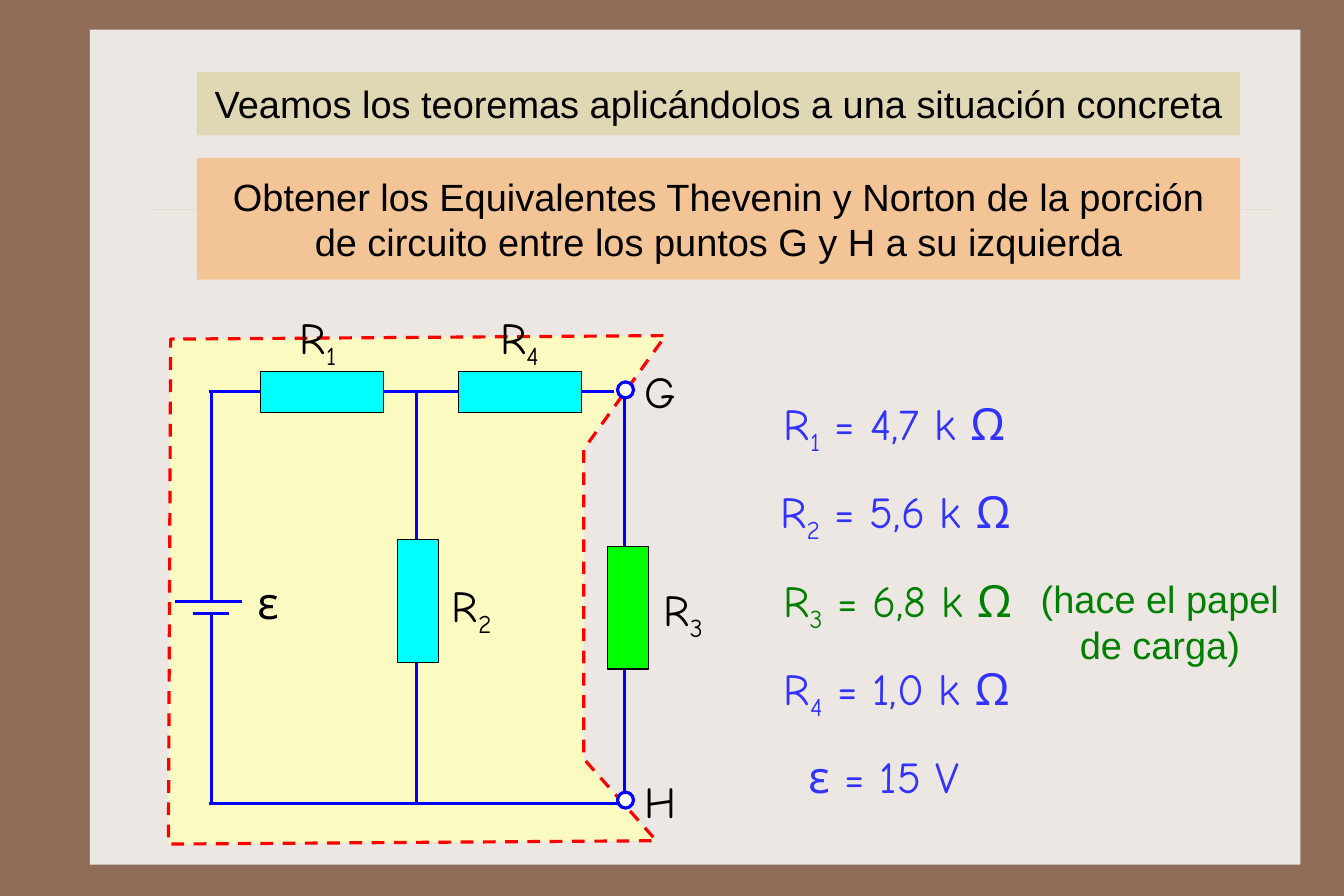
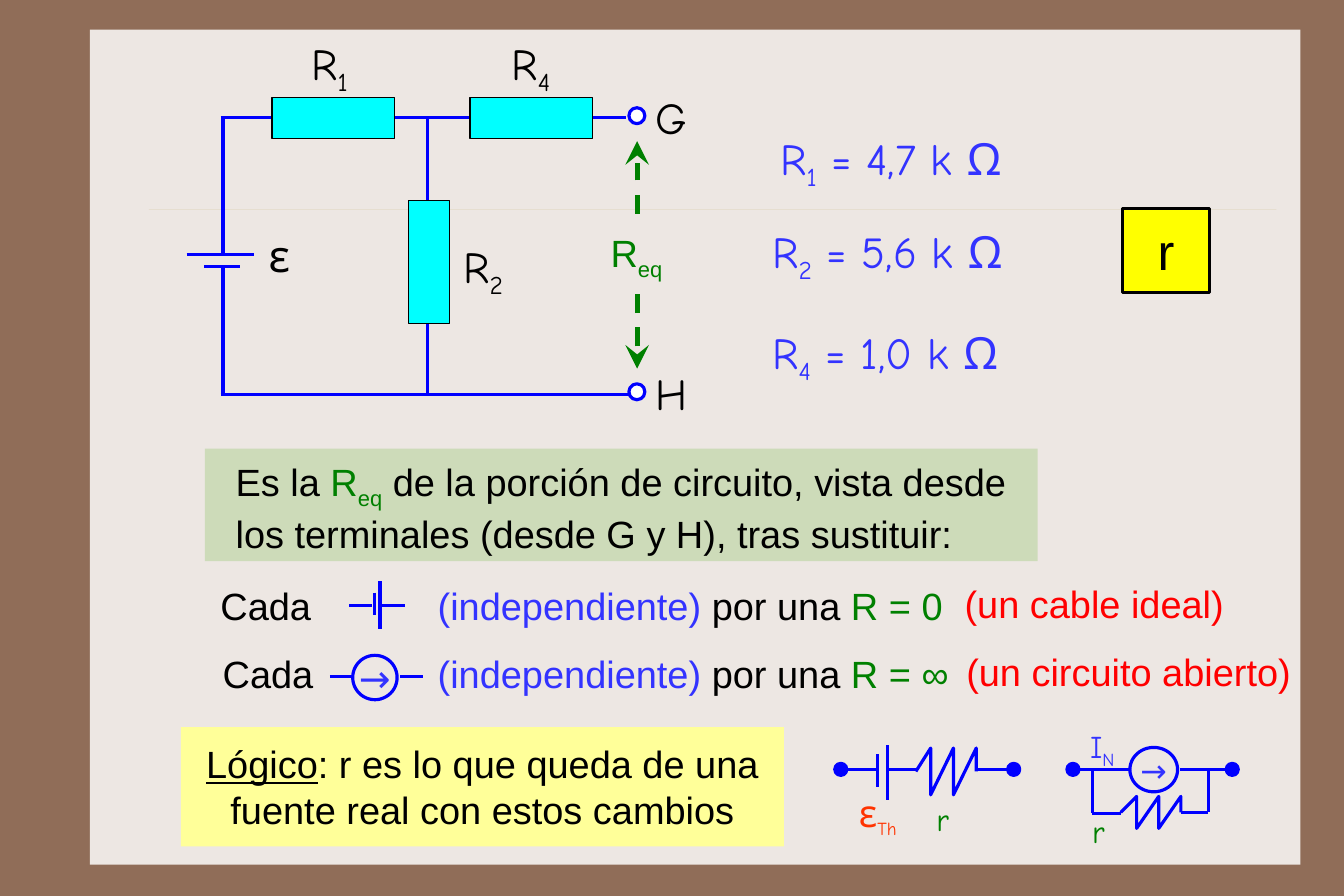
from lxml import etree
from pptx import Presentation
from pptx import util as u
from pptx.dml.color import RGBColor
from pptx.enum import dml, shapes, text
from pptx.oxml.ns import qn

Pt = u.Pt
BLACK, BLUE, WIRE, GREEN, RED = "000000", "3333FF", "0000FF", "008000", "FF0000"
FRAME, PANEL, RULE, CYAN, LOAD = "906D58", "EDE7E3", "CBBD83", "00FFFF", "00FF00"
SAND, ORANGE, SAGE, LEMON, CREAM, YELLOW = "E0D7B5", "F3C495", "CDDBB9", "FFFF99", "FBFBC1", "FFFF00"
VERMILION, WHITE = "FF3300", "FFFFFF"
PLAIN, COMIC = "Arial", "Comic Neue"
LEFT, CENTER = text.PP_ALIGN.LEFT, text.PP_ALIGN.CENTER
TOP, MIDDLE = text.MSO_ANCHOR.TOP, text.MSO_ANCHOR.MIDDLE
RECT, OVAL = shapes.MSO_SHAPE.RECTANGLE, shapes.MSO_SHAPE.OVAL

TITLE = "Veamos los teoremas aplicándolos a una situación concreta"
TASK = "Obtener los Equivalentes Thevenin y Norton de la porción de circuito entre los puntos G y H a su izquierda"
LOAD_NOTE = "(hace el papel de carga)"
OHMS = {"1": "4,7", "2": "5,6", "3": "6,8", "4": "1,0"}
VALUES_ALL = [("1", 566, BLUE), ("2", 566.6, BLUE), ("3", 568, GREEN), ("4", 567.4, BLUE)]
VALUES_SOURCE = [("1", 563.8, 79.2), ("2", 561.6, 138.2), ("4", 560.2, 202.3)]
PORTION = [(116, 214.6), (421.2, 212.4), (369.4, 284.4), (369.4, 480.2), (415.4, 532.1), (106.6, 534.2), (108, 214.6)]
EQUIVALENT = [("R", GREEN), ("eq", GREEN, "sub")]
DEFINITION = [("Es la ", BLACK), *EQUIVALENT,
              (" de la porción de circuito, vista desde los terminales (desde G y H), tras sustituir:", BLACK)]
REPLACEMENTS = [("R = 0", "(un cable ideal)", 132.5, 603.4, 362.2),
                ("R = ∞", "(un circuito abierto)", 133.9, 604.5, 405.2)]
LOGIC = [("Lógico", BLACK, "under"), (": r es lo que queda de una fuente real con estos cambios", BLACK)]


def rgb(code):
    return RGBColor.from_string(code)


def paint(shape, fill=None, line=None, weight=2.0):
    if fill:
        shape.fill.solid()
        shape.fill.fore_color.rgb = rgb(fill)
    else:
        shape.fill.background()
    if line:
        shape.line.color.rgb = rgb(line)
        shape.line.width = Pt(weight)
    else:
        shape.line.fill.background()
    return shape


def write(shape, runs, size=24, font=PLAIN, align=LEFT, inset=(7, 6.5), anchor=TOP, wrap=True):
    frame = shape.text_frame
    frame.auto_size = text.MSO_AUTO_SIZE.NONE
    frame.word_wrap = wrap
    frame.vertical_anchor = anchor
    frame.margin_left = frame.margin_right = Pt(inset[0])
    frame.margin_top = frame.margin_bottom = Pt(inset[1])
    para = frame.paragraphs[0]
    para.alignment = align
    for words, colour, *style in runs:
        span = para.add_run()
        span.text = words
        span.font.size = Pt(size)
        span.font.name = font
        span.font.color.rgb = rgb(colour)
        if "under" in style:
            span.font.underline = True
        if "sub" in style:
            span._r.get_or_add_rPr().set("baseline", "-25000")
    return shape


def block(page, kind, left, top, width, height, fill=None, line=None, weight=2.0):
    shape = page.shapes.add_shape(kind, Pt(left), Pt(top), Pt(width), Pt(height))
    shape.shadow.inherit = False
    return paint(shape, fill, line, weight)


def label(page, left, top, width, height, runs, **style):
    box = page.shapes.add_textbox(Pt(left), Pt(top), Pt(width), Pt(height))
    return write(box, runs, **style)


def symbol(page, left, top, runs, width=74.2, align=CENTER, size=28, inset=(6.5, 3.6)):
    label(page, left, top, width, 46, runs, size=size, font=COMIC, align=align, inset=inset)


def wire(page, x1, y1, x2, y2, colour=WIRE, weight=2.0):
    line = page.shapes.add_connector(shapes.MSO_CONNECTOR.STRAIGHT, Pt(x1), Pt(y1), Pt(x2), Pt(y2))
    line.line.color.rgb = rgb(colour)
    line.line.width = Pt(weight)
    etree.SubElement(line.element.spPr, qn("a:effectLst"))
    return line


def outline(page, points, close, fill, line):
    start, *rest = [(Pt(x), Pt(y)) for x, y in points]
    builder = page.shapes.build_freeform(*start)
    builder.add_line_segments(rest, close=close)
    shape = builder.convert_to_shape()
    shape.shadow.inherit = False
    return paint(shape, fill, line)


def zigzag(page, left, middle, lead, step, rise):
    points = [(left, middle)]
    for tooth in range(3):
        x = left + lead + tooth * step
        points += [(x, middle - rise), (x, middle + rise)]
    points[-1] = (points[-1][0], middle)
    outline(page, points, False, None, WIRE)


def resistor(page, left, top, upright=False, fill=CYAN):
    width, height = (26, 77.8) if upright else (77.8, 26)
    block(page, RECT, left, top, width, height, fill, BLACK, 0.75)


def resistance(number, colour=BLACK):
    return [("R", colour), (number, colour, "sub")]


def value(page, number, center, top, colour=BLUE):
    runs = resistance(number, colour) + [(f" = {OHMS[number]} k Ω", colour)]
    symbol(page, center - 95.8, top, runs, 191.5)


def circuit(page, left, top, battery, branch, bottom):
    plate, base = top + battery, top + bottom
    for x1, y1, x2, y2 in [
        (0, top, 256.3, top), (0, base, 262.8, base), (131, top, 131, base),
        (1.4, top, 1.4, plate), (1.4, plate + 7.6, 1.4, base),
        (-21.6, plate, 20.9, plate), (-10.4, plate + 7.6, 12.2, plate + 7.6),
    ]:
        wire(page, left + x1, y1, left + x2, y2)
    for number, x, name_x in [("1", 32.4, 31.7), ("4", 157.7, 159.1)]:
        resistor(page, left + x, top - 12.6)
        symbol(page, left + name_x, top - 54.7, resistance(number))
    resistor(page, left + 118.8, top + branch - 38.9, upright=True)
    symbol(page, left + 128.9, top + branch - 18, resistance("2"))
    symbol(page, left, plate - 20.6, [("ε", BLACK)])
    for name, y in [("G", top), ("H", base - 1)]:
        block(page, OVAL, left + 258.3, y - 6, 10.1, 10.1, WHITE, WIRE)
        symbol(page, left + 268.6, y - 20.9, [(name, BLACK)], 41, LEFT)


def dress_master(deck, page):
    fill = deck.slide_master.background.fill
    fill.solid()
    fill.fore_color.rgb = rgb(FRAME)
    panel = block(page, RECT, 56.9, 18.7, 766.1, 528.5, PANEL)
    rule = wire(page, 94.3, 132.5, 807.8, 132.5, RULE, 0.25)
    tint = rule.element.spPr.find(qn("a:ln")).find(".//" + qn("a:srgbClr"))
    etree.SubElement(tint, qn("a:alpha")).set("val", "30000")
    for number, part in enumerate((panel, rule), 101):
        part.element.xpath(".//p:cNvPr")[0].set("id", str(number))
        deck.slide_master.shapes.element.append(part.element)


def draw_problem(page):
    title = page.shapes.title
    title.left, title.top, title.width, title.height = Pt(124.6), Pt(45.4), Pt(660.2), Pt(40.3)
    write(paint(title, SAND), [(TITLE, BLACK)], align=CENTER, inset=(7, 5.8), anchor=MIDDLE)
    portion = outline(page, PORTION, True, CREAM, RED)
    portion.line.dash_style = dml.MSO_LINE.DASH
    wire(page, 395.3, 249, 395.3, 506)
    circuit(page, 132.5, 247.7, 133.2, 132.5, 260.6)
    resistor(page, 384.5, 345.6, upright=True, fill=LOAD)
    symbol(page, 395.3, 365, resistance("3"))
    for row, (number, center, colour) in enumerate(VALUES_ALL):
        value(page, number, center, 247 + 56 * row, colour)
    symbol(page, 463.7, 470.9, [("ε = 15 V", BLUE)], 191.5)
    task = block(page, RECT, 124.6, 100, 660.2, 77, ORANGE)
    write(task, [(TASK, BLACK)], align=CENTER, inset=(7, 9.4), anchor=MIDDLE)
    label(page, 648, 360.7, 172, 62, [(LOAD_NOTE, GREEN)], align=CENTER, inset=(6.5, 3.6))


def draw_span(page):
    span = wire(page, 403.2, 233.3, 403.2, 89.3, GREEN, 3)
    span.line.dash_style = dml.MSO_LINE.DASH
    ends = span.element.spPr.find(qn("a:ln"))
    for name in ("a:headEnd", "a:tailEnd"):
        etree.SubElement(ends, qn(name), type="stealth", w="lg", len="lg")
    write(block(page, RECT, 379.4, 139, 49.7, 42.5, PANEL), EQUIVALENT)


def current_source(page, left, top, width, height, size):
    circle = block(page, OVAL, left, top, width, height, None, WIRE)
    write(circle, [("→", BLUE)], size, COMIC, CENTER, (0, 0), MIDDLE, False)


def draw_replacements(page):
    for result, meaning, left, aside, top in REPLACEMENTS:
        label(page, left, top, 80, 42.5, [("Cada", BLACK)])
        runs = [("(independiente)", BLUE), (" por una ", BLACK), (result, GREEN)]
        label(page, 270, top, 345, 42.5, runs)
        label(page, aside, top - 1, 226, 42.5, [(meaning, RED)])
    for ends in [(236.9, 375.1, 236.9, 389.5), (240.5, 367.9, 240.5, 398.2),
                 (241.2, 383, 256.3, 383), (221, 383, 235.4, 383),
                 (208.8, 428.1, 223.9, 428.1), (253.4, 428.1, 267.8, 428.1)]:
        wire(page, *ends)
    current_source(page, 223.2, 414.7, 28.1, 28.1, 24)


def draw_real_sources(page):
    axis = 486.9
    for ends in [(561.6, 471.6, 561.6, 506.2), (555.1, 477.4, 555.1, 498.2),
                 (561.6, axis, 579.6, axis), (536.4, axis, 554.4, axis), (619.2, axis, 637.2, axis),
                 (691.2, 514.6, 709.2, 514.6), (691.2, axis, 691.2, 514.6),
                 (747.4, 514, 764.6, 514), (764.6, axis, 764.6, 514),
                 (746.6, axis, 780, axis), (679, axis, 715, axis)]:
        wire(page, *ends)
    zigzag(page, 579.6, 488.2, 9.4, 14.4, 14.8)
    zigzag(page, 709.2, 514.1, 10.1, 14, 10.1)
    for center in (532.1, 641.5, 679, 779.8):
        block(page, OVAL, center - 3.8, axis - 3.8, 7.6, 7.6, WIRE, WIRE)
    current_source(page, 715, 473, 30.2, 28.1, 20)
    small = dict(align=LEFT, inset=(5.8, 2.9))
    thevenin = label(page, 537.8, 496.8, 44, 32, [("ε", VERMILION), ("Th", VERMILION, "sub")], font=COMIC, **small)
    thevenin.text_frame.paragraphs[0].runs[1].font.size = Pt(20)
    for left, top, runs in [(586.8, 503.3, [("r", GREEN)]), (685.4, 511.2, [("r", GREEN)]),
                            (684, 457.2, [("I", BLUE), ("N", BLUE, "sub")])]:
        symbol(page, left, top, runs, 36, size=20, **small)


def draw_resistance(page):
    definition = block(page, RECT, 129.6, 283.9, 527, 71.3, SAGE)
    write(definition, DEFINITION, inset=(19.5, 6.5))
    circuit(page, 139.7, 74.2, 87.1, 91.4, 175.7)
    draw_span(page)
    for number, center, top in VALUES_SOURCE:
        value(page, number, center, top)
    target = block(page, RECT, 710.6, 131.8, 54.7, 53.3, YELLOW, BLACK)
    write(target, [("r", BLACK)], 32, align=CENTER, anchor=MIDDLE)
    draw_replacements(page)
    write(block(page, RECT, 114.5, 460.1, 381.6, 75.6, LEMON), LOGIC, align=CENTER, inset=(11.5, 8.6))
    draw_real_sources(page)


def main():
    deck = Presentation()
    deck.slide_width, deck.slide_height = Pt(850.5), Pt(567)
    problem = deck.slides.add_slide(deck.slide_layouts[5])
    dress_master(deck, problem)
    draw_problem(problem)
    draw_resistance(deck.slides.add_slide(deck.slide_layouts[6]))
    deck.save("out.pptx")


if __name__ == "__main__":
    main()
